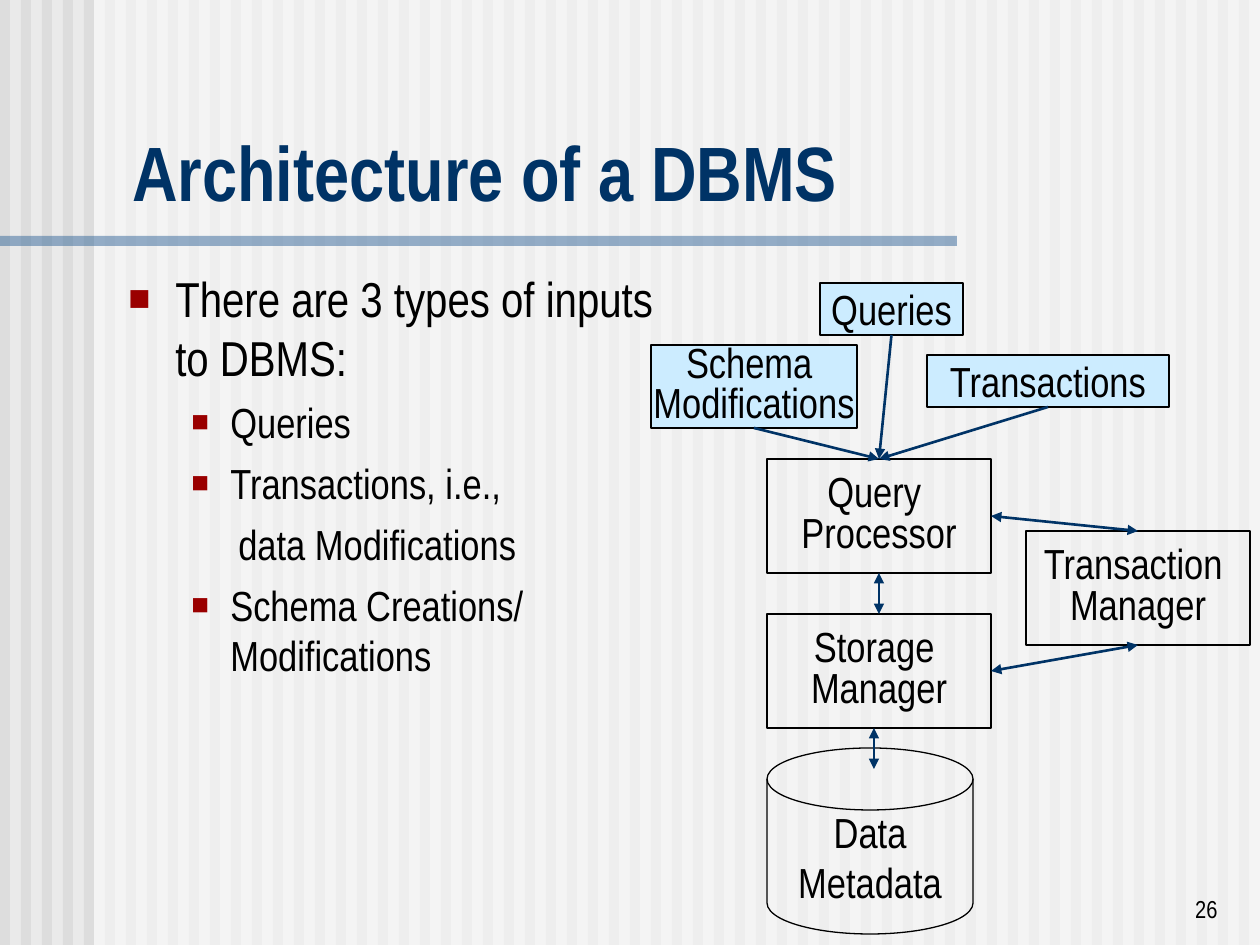
from lxml import etree
from pptx import Presentation
from pptx import util as u
from pptx.dml.color import RGBColor
from pptx.enum import shapes, text
from pptx.oxml.ns import qn

SCALE = 914400 / 126
FONT = "Arial Narrow"
BLACK = RGBColor(0x00, 0x00, 0x00)
WHITE = RGBColor(0xFF, 0xFF, 0xFF)
NAVY = RGBColor(0x00, 0x33, 0x66)
STEEL = RGBColor(0x33, 0x66, 0x99)
SKY = RGBColor(0xCC, 0xEC, 0xFF)
DARK_RED = RGBColor(0x9A, 0x00, 0x00)
STRIPE_GREY = RGBColor(0xDD, 0xDD, 0xDD)
PAPER_GREY = RGBColor(0xEA, 0xEA, 0xEA)
TOP, LEFT, BOTTOM, RIGHT = range(4)
RECTANGLE = shapes.MSO_SHAPE.RECTANGLE
DISK = shapes.MSO_SHAPE.FLOWCHART_MAGNETIC_DISK


def px(length):
    return u.Emu(round(length * SCALE))


def add_run(paragraph, words, size, color=BLACK, bold=False):
    run = paragraph.add_run()
    run.text = words
    run.font.name = FONT
    run.font.size = u.Pt(size)
    run.font.color.rgb = color
    run.font.bold = bold


def add_box(slide, kind, box, fill=None, line=None, opacity=None):
    shape = slide.shapes.add_shape(kind, *map(px, box))
    shape.shadow.inherit = False
    if fill is None:
        shape.fill.background()
    else:
        shape.fill.solid()
        shape.fill.fore_color.rgb = fill
    if opacity is not None:
        color = shape.fill._xPr.find(qn("a:solidFill"))[0]
        etree.SubElement(color, qn("a:alpha"), val=str(opacity * 1000))
    if line is None:
        shape.line.fill.background()
    else:
        shape.line.color.rgb = line
        shape.line.width = u.Pt(0.75)
    return shape


def add_text_frame(slide, box, anchor):
    frame = slide.shapes.add_textbox(*map(px, box)).text_frame
    frame.word_wrap = True
    frame.vertical_anchor = anchor
    return frame


def add_backdrop(slide, box):
    left, top, width, height = box
    slide.background.fill.solid()
    slide.background.fill.fore_color.rgb = PAPER_GREY
    for offset in range(0, width, 21):
        add_box(slide, RECTANGLE, (left + offset, top, 10, height), STRIPE_GREY)
    add_box(slide, RECTANGLE, (left + 94, top, width - 94, height), WHITE, opacity=50)
    add_box(slide, RECTANGLE, (left, top + 236, 957, 10), STEEL, opacity=50)


def add_title(slide, box):
    frame = add_text_frame(slide, box, text.MSO_ANCHOR.BOTTOM)
    add_run(frame.paragraphs[0], "Architecture of a DBMS", 44, NAVY, True)


def set_bullet(paragraph, margin, indent, percent):
    properties = paragraph._p.get_or_add_pPr()
    properties.set("marL", str(px(margin)))
    properties.set("indent", str(px(indent)))
    if percent is None:
        etree.SubElement(properties, qn("a:buNone"))
        return
    color = etree.SubElement(properties, qn("a:buClr"))
    etree.SubElement(color, qn("a:srgbClr"), val=str(DARK_RED))
    etree.SubElement(properties, qn("a:buSzPct"), val=str(percent * 1000))
    etree.SubElement(properties, qn("a:buFont"), typeface="Arial")
    etree.SubElement(properties, qn("a:buChar"), char="■")


def add_inputs_list(slide, box):
    frame = add_text_frame(slide, box, text.MSO_ANCHOR.TOP)
    items = [
        ("There are 3 types of inputs to DBMS:", 28, 47, -47, 75),
        ("Queries", 24, 102, -39, 70),
        ("Transactions, i.e.,", 24, 102, -39, 70),
        ("data Modifications", 24, 110, 0, None),
        ("Schema Creations/ Modifications", 24, 102, -39, 70),
    ]
    for index, (words, size, margin, indent, percent) in enumerate(items):
        paragraph = frame.add_paragraph() if index else frame.paragraphs[0]
        set_bullet(paragraph, margin, indent, percent)
        if index:
            paragraph.space_before = u.Pt(6)
        add_run(paragraph, words, size)


def add_node(slide, kind, box, lines, fill=None, spacing=None):
    shape = add_box(slide, kind, box, fill, BLACK)
    frame = shape.text_frame
    frame.word_wrap = False
    frame.vertical_anchor = text.MSO_ANCHOR.MIDDLE
    for index, words in enumerate(lines):
        paragraph = frame.add_paragraph() if index else frame.paragraphs[0]
        paragraph.alignment = text.PP_ALIGN.CENTER
        if spacing:
            paragraph.line_spacing = spacing
        add_run(paragraph, words, 24)
    return shape


def add_arrow(slide, start=(0, 0), end=(0, 0), both_ends=False):
    connector = slide.shapes.add_connector(
        shapes.MSO_CONNECTOR.STRAIGHT, *map(px, start + end))
    connector.line.color.rgb = NAVY
    connector.line.width = u.Pt(1.5)
    outline = connector.line._get_or_add_ln()
    if both_ends:
        etree.SubElement(outline, qn("a:headEnd"), type="triangle")
    etree.SubElement(outline, qn("a:tailEnd"), type="triangle")
    etree.SubElement(connector._element.spPr, qn("a:effectLst"))
    return connector


def join(slide, source, source_side, target, target_side, both_ends=False):
    connector = add_arrow(slide, both_ends=both_ends)
    connector.begin_connect(source, source_side)
    connector.end_connect(target, target_side)


def add_architecture(slide, box):
    left, top = box[:2]
    nodes = {}
    for name, kind, x, y, width, height, lines, fill, spacing in [
        ("schema", RECTANGLE, 0, 62, 206, 83, ["Schema ", "Modifications"], SKY, 0.8),
        ("queries", RECTANGLE, 169, 0, 143, 52, ["Queries"], SKY, None),
        ("transactions", RECTANGLE, 276, 72, 242, 52, ["Transactions"], SKY, None),
        ("processor", RECTANGLE, 116, 176, 224, 114, ["Query ", "Processor"], None, 0.8),
        ("manager", RECTANGLE, 375, 248, 224, 114, ["Transaction ", "Manager"], None, 0.8),
        ("storage", RECTANGLE, 116, 331, 224, 114, ["Storage ", "Manager"], None, 0.8),
        ("data", DISK, 116, 465, 206, 186, ["Data", "Metadata"], None, None),
    ]:
        place = (left + x, top + y, width, height)
        nodes[name] = add_node(slide, kind, place, lines, fill, spacing)
    for name in ("queries", "schema", "transactions"):
        join(slide, nodes[name], BOTTOM, nodes["processor"], TOP)
    join(slide, nodes["manager"], BOTTOM, nodes["storage"], RIGHT, True)
    join(slide, nodes["manager"], TOP, nodes["processor"], RIGHT, True)
    join(slide, nodes["processor"], BOTTOM, nodes["storage"], TOP, True)
    add_arrow(slide, (left + 223, top + 445), (left + 223, top + 486), True)


def add_page_number(slide, box):
    paragraph = add_text_frame(slide, box, text.MSO_ANCHOR.BOTTOM).paragraphs[0]
    paragraph.alignment = text.PP_ALIGN.RIGHT
    add_run(paragraph, "26", 14)


def main():
    presentation = Presentation()
    presentation.slide_width = px(1260)
    presentation.slide_height = px(945)
    slide = presentation.slides.add_slide(presentation.slide_layouts[6])
    add_backdrop(slide, (0, 0, 1260, 945))
    add_architecture(slide, (651, 283, 599, 651))
    add_title(slide, (120, 118, 1125, 105))
    add_inputs_list(slide, (116, 262, 557, 630))
    add_page_number(slide, (968, 867, 262, 63))
    presentation.save("out.pptx")


if __name__ == "__main__":
    main()
